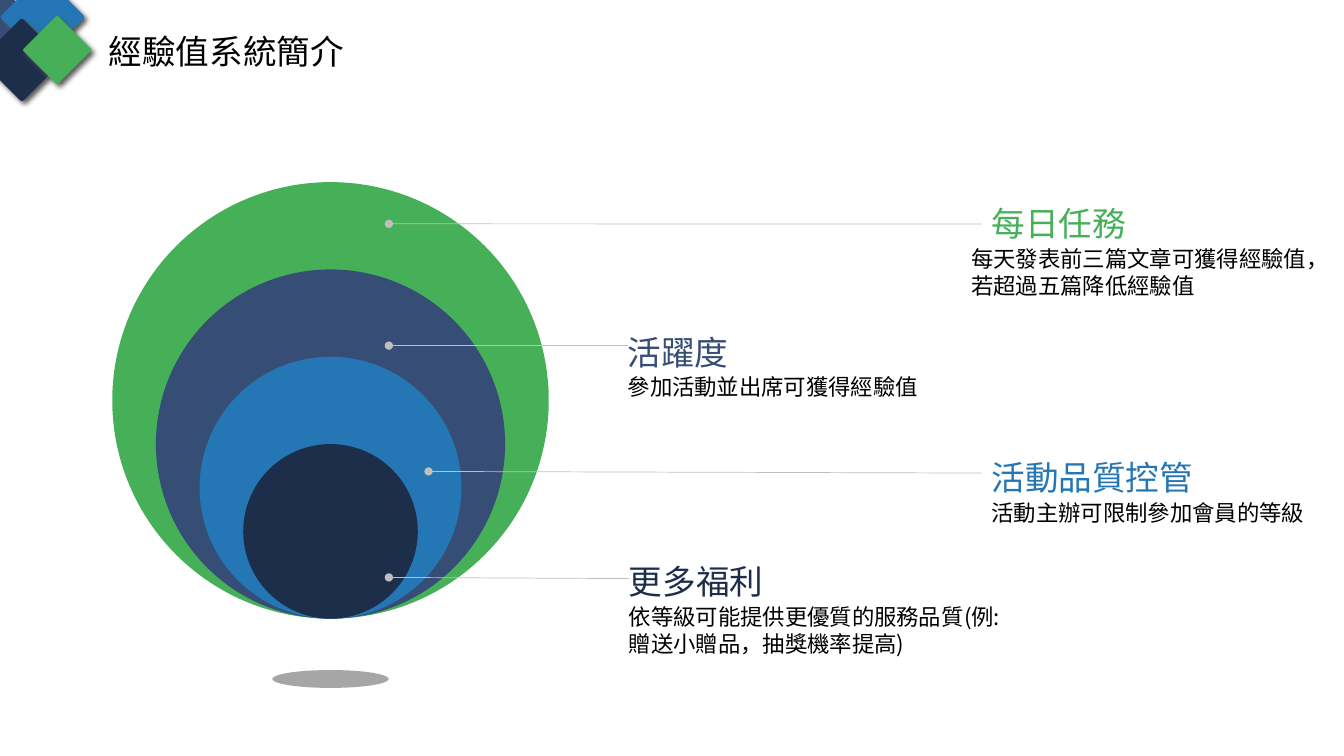
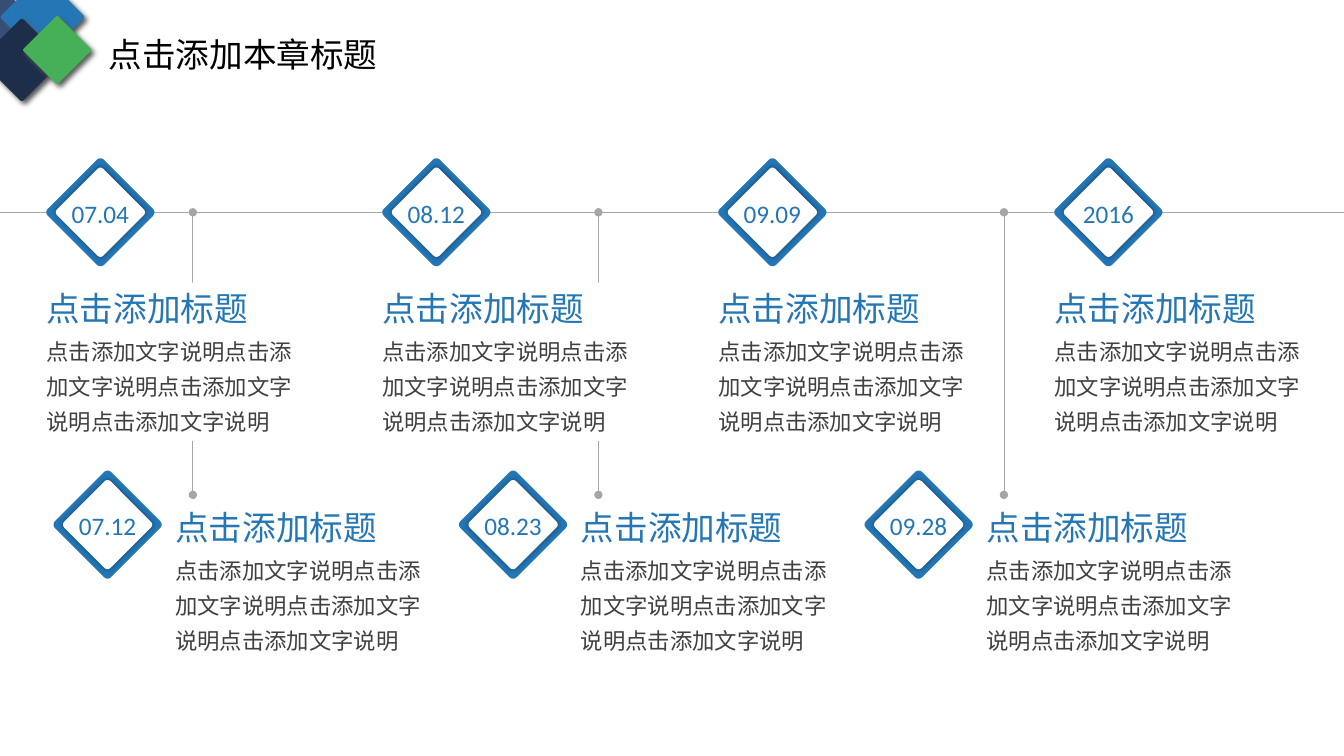
from pptx import Presentation
from pptx.dml.color import RGBColor
from pptx.enum.shapes import MSO_CONNECTOR, MSO_SHAPE
from pptx.enum.text import PP_ALIGN
from pptx.oxml.ns import qn
from pptx.util import Cm, Pt
from lxml import etree

OVAL, ROUND = MSO_SHAPE.OVAL, MSO_SHAPE.ROUNDED_RECTANGLE
STRAIGHT = MSO_CONNECTOR.STRAIGHT
LEFT, MID = PP_ALIGN.LEFT, PP_ALIGN.CENTER

HUES = {
    "green": "45B058", "slate": "364D76", "blue": "2476B5", "navy": "1D2E4B",
    "black": "000000", "white": "FFFFFF", "text": "404040",
    "gray": "A6A6A6", "pale": "BFBFBF", "shade": "595959", "deep": "174367",
}
CJK, LATIN = "Noto Sans CJK SC", "Calibri"
WIDTH, HEIGHT = 33.87, 19.05
HEAD_H = 1.29

# Corner diamonds: centre x, centre y, side, colour
CORNER = [
    (0.08, 0.66, 1.32, "slate"),
    (1.07, 0.43, 1.52, "blue"),
    (0.55, 1.51, 1.5, "navy"),
    (1.44, 1.26, 1.24, "green"),
]

# Slide 1: nested circles from large to small, and their callouts
RINGS = ["green", "slate", "blue", "navy"]
RING_X, RING_END, RING_STEP = 8.33, 15.59, 2.2
# "end" is None where the line is joined to the heading
NOTES = [
    {"head": "每日任務", "body": "每天發表前三篇文章可獲得經驗值，若超過五篇降低經驗值",
     "hue": "green", "dot": (9.8, 5.64), "end": None,
     "at": (24.74, 5), "left": 24.23, "size": (9.63, 1.62)},
    {"head": "活躍度", "body": "參加活動並出席可獲得經驗值",
     "hue": "slate", "dot": (9.8, 8.71), "end": (15.82, 8.71),
     "at": (15.57, 8.23), "left": 15.57, "size": (8.15, 0.94)},
    {"head": "活動品質控管", "body": "活動主辦可限制參加會員的等級",
     "hue": "blue", "dot": (10.8, 11.88), "end": (24.74, 11.92),
     "at": (24.74, 11.4), "left": 24.74, "size": (8.51, 0.94)},
    {"head": "更多福利", "body": "依等級可能提供更優質的服務品質(例:贈送小贈品，抽獎機率提高)",
     "hue": "navy", "dot": (9.8, 14.55), "end": (15.85, 14.58),
     "at": (15.6, 14.02), "left": 15.6, "size": (9.75, 1.62)},
]

# Slide 2: two rows of dates
HEAD = "点击添加标题"
BODY = "点击添加文字说明" * 4
AXIS, DROP_X, DROP_END = 5.35, 4.86, 12.47
LOWER_GAP = 10.22
ROWS = [
    {"dates": ["07.04", "08.12", "09.09", "2016"], "x": 2.53, "y": AXIS,
     "gap": WIDTH / 4, "shift": -1.61, "top": 7.12},
    {"dates": ["07.12", "08.23", "09.28"], "x": 2.71, "y": 13.22,
     "gap": LOWER_GAP, "shift": 1.46, "top": 12.65},
]


def rgb(hue):
    return RGBColor.from_string(HUES[hue])


def add_sub(node, tag, **attrs):
    return etree.SubElement(node, qn(tag), **attrs)


def put_text(slide, text, left, top, width, height, size=16, hue="black",
             font=CJK, align=LEFT, space=None, fill=None):
    box = slide.shapes.add_textbox(Cm(left), Cm(top), Cm(width), Cm(height))
    box.text_frame.word_wrap = True
    if fill:
        box.fill.solid()
        box.fill.fore_color.rgb = rgb(fill)
    para = box.text_frame.paragraphs[0]
    para.alignment = align
    if space:
        para.line_spacing = space
    run = para.add_run()
    run.text = text
    run.font.size = Pt(size)
    run.font.name = font
    run.font.color.rgb = rgb(hue)
    add_sub(run.font._element, "a:ea", typeface=font)
    return box


def put_shape(slide, kind, x, y, width, height, hue):
    """Add a plain shape around the centre x, y."""
    shape = slide.shapes.add_shape(kind, Cm(x - width / 2), Cm(y - height / 2),
                                   Cm(width), Cm(height))
    shape.shadow.inherit = False
    shape.fill.solid()
    shape.fill.fore_color.rgb = rgb(hue)
    shape.line.fill.background()
    return shape


def put_gem(slide, x, y, side, hue, curve, shade=None, dist=0):
    gem = put_shape(slide, ROUND, x, y, side, side, hue)
    gem.rotation = 45
    gem.adjustments[0] = curve
    if shade:
        glow = add_sub(gem._element.spPr.find(qn("a:effectLst")), "a:outerShdw",
                       blurRad=str(Pt(4)), dist=str(Pt(dist)),
                       dir="2700000", algn="ctr", rotWithShape="0")
        add_sub(glow, "a:srgbClr", val=HUES[shade])


def put_line(slide, start, end, hue, *tips):
    line = slide.shapes.add_connector(STRAIGHT, *(Cm(v) for v in start + end))
    line.line.width = Pt(0.5)
    line.line.color.rgb = rgb(hue)
    for tip in tips:
        add_sub(line.line._ln, tip, type="oval")
    add_sub(line._element.spPr, "a:effectLst")
    return line


def start_slide(deck, title, top):
    slide = deck.slides.add_slide(deck.slide_layouts[6])
    for x, y, side, hue in CORNER:
        put_gem(slide, x, y, side, hue, 0.04, "shade", 3)
    put_text(slide, title, 2.49, top, 9.91, HEAD_H, size=24)
    return slide


def draw_rings(deck):
    slide = start_slide(deck, "經驗值系統簡介", 0.66)
    for i, hue in enumerate(RINGS):
        size = RING_STEP * (5 - i)
        put_shape(slide, OVAL, RING_X, RING_END - size / 2, size, size, hue)
    put_shape(slide, OVAL, RING_X, 17.11, 2.93, 0.45, "gray")
    for note in NOTES:
        left, top = note["at"]
        end = note["end"] or (left, top + HEAD_H / 2)
        line = put_line(slide, note["dot"], end, note["hue"] and "pale", "a:headEnd")
        head = put_text(slide, note["head"], left, top, 6, HEAD_H,
                        size=24, hue=note["hue"])
        if note["end"] is None:
            line.end_connect(head, 1)
        put_text(slide, note["body"], note["left"], top + 1.06, *note["size"])


def draw_dates(deck):
    slide = start_slide(deck, "点击添加本章标题", 0.74)
    # Time axis and drop lines
    put_line(slide, (0, AXIS), (WIDTH, AXIS), "gray")
    for i in range(len(ROWS[1]["dates"])):
        x = DROP_X + i * LOWER_GAP
        put_line(slide, (x, AXIS), (x, DROP_END), "gray", "a:headEnd", "a:tailEnd")
    # Date diamonds with their text
    for row in ROWS:
        y, top = row["y"], row["top"]
        for i, date in enumerate(row["dates"]):
            x = row["x"] + i * row["gap"]
            left = x + row["shift"]
            put_gem(slide, x, y, 2, "blue", 0.06)
            put_gem(slide, x, y, 1.65, "white", 0.06, "deep")
            put_text(slide, date, x - 1.25, y - 0.48, 2.5, 1.02, size=18,
                     hue="blue", font=LATIN, align=MID)
            put_text(slide, HEAD, left, top, 6, HEAD_H, size=24, hue="blue",
                     fill="white")
            put_text(slide, BODY, left, top + 1.07, 7.06, 2.92, hue="text",
                     space=1.3, fill="white")


def main():
    deck = Presentation()
    deck.slide_width, deck.slide_height = Cm(WIDTH), Cm(HEIGHT)
    draw_rings(deck)
    draw_dates(deck)
    deck.save("out.pptx")


if __name__ == "__main__":
    main()
